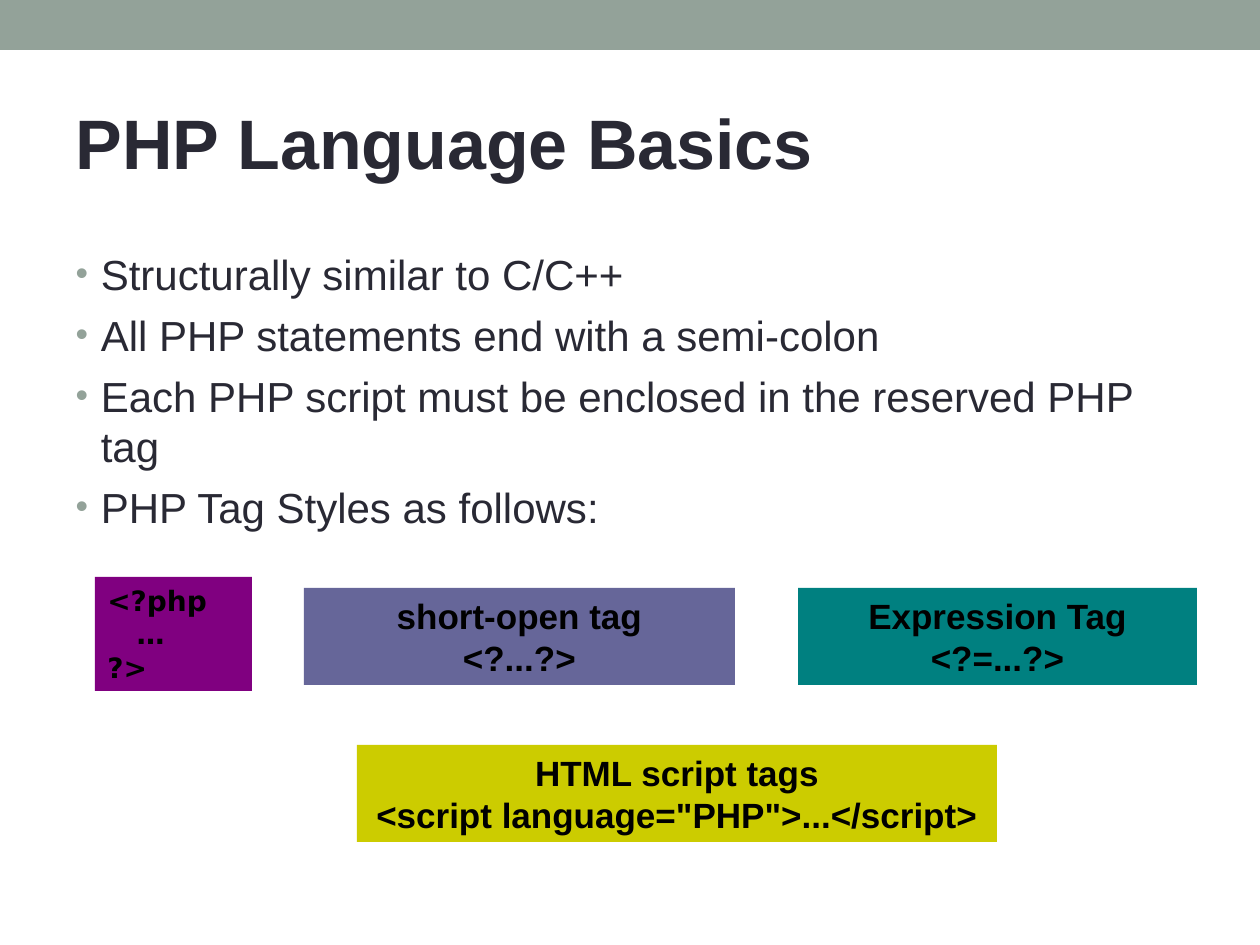
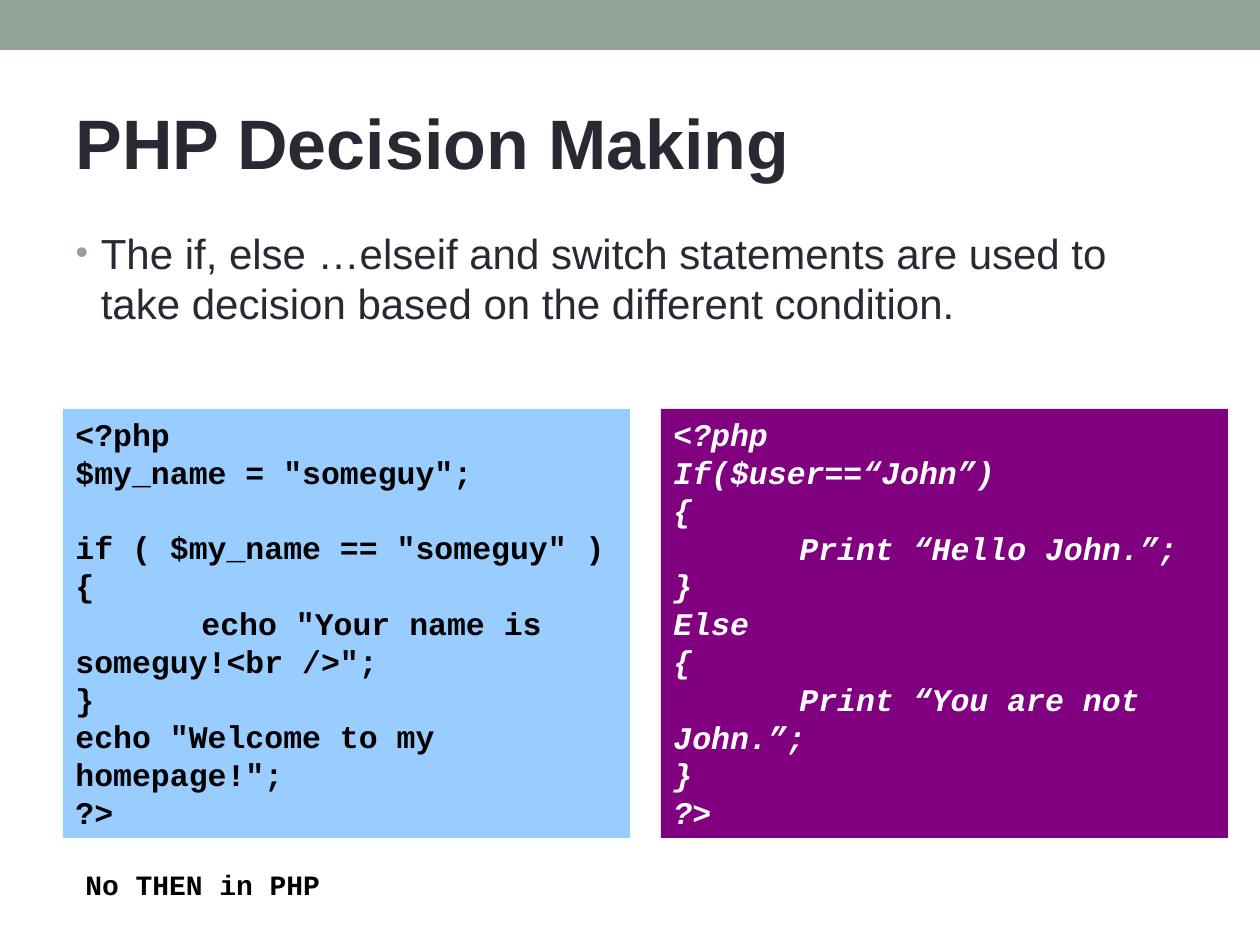
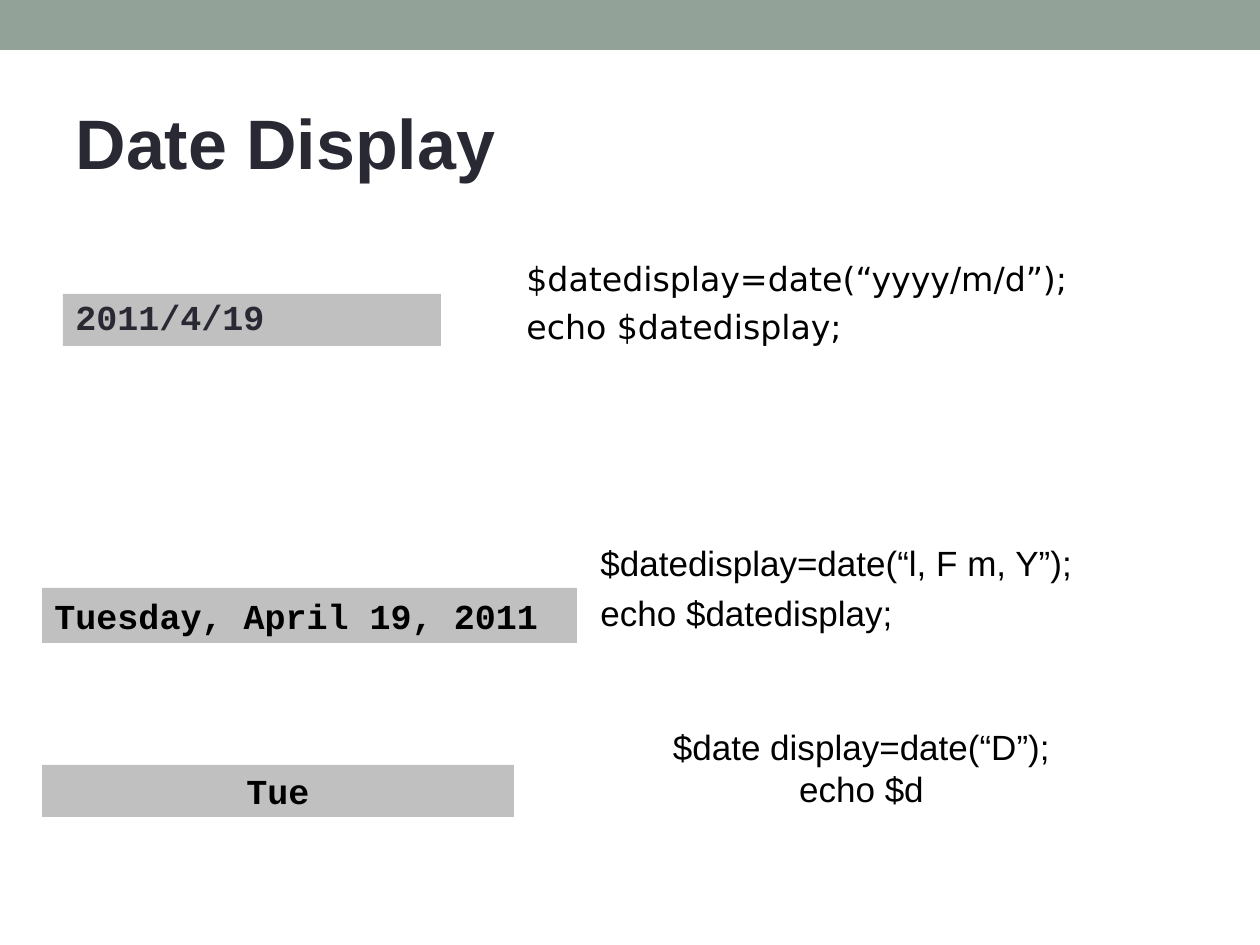
from lxml import etree
from pptx import Presentation
from pptx import util as u
from pptx.dml.color import RGBColor
from pptx.enum import shapes, text
from pptx.oxml.ns import qn

PX = u.Inches(1) / 126
HUE = {
    "band": "93A299", "ink": "292934", "black": "000000", "white": "FFFFFF",
    "plum": "800080", "slate": "666699", "teal": "008080", "lime": "CCCC00",
    "sky": "99CCFF", "grey": "C0C0C0",
}
SANS, MONO, WIDE = "Arial", "Courier New", "DejaVu Sans"
LEFT, MID = text.PP_ALIGN.LEFT, text.PP_ALIGN.CENTER
TOP, CORE = text.MSO_ANCHOR.TOP, text.MSO_ANCHOR.MIDDLE


def px(n):
    return u.Emu(round(n * PX))


def rgb(name):
    return RGBColor.from_string(HUE[name])


def place(shape, at):
    shape.left, shape.top, shape.width, shape.height = map(px, at)


def add_el(par, tag, **attrs):
    return etree.SubElement(par, qn(tag), attrs)


def style(par, face, size, ink, bold=False, slant=False, align=LEFT):
    par.alignment = align
    font = par.font
    font.name, font.size = face, u.Pt(size)
    font.bold, font.italic = bold, slant
    font.color.rgb = rgb(ink)


def bullet(par):
    props = par._p.get_or_add_pPr()
    props.set("marL", str(u.Inches(0.2)))
    props.set("indent", str(-u.Inches(0.2)))
    hue = add_el(props, "a:buClr")
    add_el(hue, "a:srgbClr", val=HUE["band"])
    add_el(props, "a:buSzPct", val="85000")
    add_el(props, "a:buFont", typeface=SANS)
    add_el(props, "a:buChar", char="•")


def tab_stop(par):
    stops = add_el(par._p.get_or_add_pPr(), "a:tabLst")
    add_el(stops, "a:tab", pos=str(u.Inches(1)), algn="l")


def fill_in(frame, lines, anchor=TOP):
    """Put one line in each paragraph and yield the paragraphs."""
    frame.word_wrap = True
    frame.auto_size = text.MSO_AUTO_SIZE.NONE
    frame.vertical_anchor = anchor
    for i, line in enumerate(lines):
        par = frame.add_paragraph() if i else frame.paragraphs[0]
        par.text = line
        yield i, par


def rect(slide, at, fill):
    shape = slide.shapes.add_shape(shapes.MSO_SHAPE.RECTANGLE, *map(px, at))
    shape.shadow.inherit = False
    shape.fill.solid()
    shape.fill.fore_color.rgb = rgb(fill)
    shape.line.fill.background()
    return shape


def box(slide, at, lines, face, size, ink="black", fill=None, anchor=TOP,
        gap=0, gaps=None, lead=None, **look):
    """Text on a filled rectangle, or in a plain text box without a fill."""
    shape = rect(slide, at, fill) if fill else slide.shapes.add_textbox(*map(px, at))
    for i, par in fill_in(shape.text_frame, lines, anchor):
        if "\t" in lines[i]:
            tab_stop(par)
        style(par, face, size, ink, **look)
        par.space_before = u.Pt((gaps or {}).get(i, gap if i else 0))
        if lead:
            par.line_spacing = lead


def new_slide(deck, layout, title):
    slide = deck.slides.add_slide(deck.slide_layouts[layout])
    head = slide.shapes.title
    place(head, (63, 73, 1134, 136))
    for _, par in fill_in(head.text_frame, [title], CORE):
        style(par, SANS, 40, "ink", bold=True)
    return slide


def body(slide, top, height, lines):
    holder = slide.placeholders[1]
    place(holder, (63, top, 1134, height))
    for i, par in fill_in(holder.text_frame, lines):
        bullet(par)
        style(par, SANS, 24, "ink")
        par.space_before = u.Pt(6 if i else 0)


def add_band(deck, slide):
    """Move the top band to the master, so that every slide shows it."""
    band = rect(slide, (0, 0, 1260, 50), "band")
    deck.slide_master.shapes._spTree.insert(2, band._element)


def basics(deck):
    slide = new_slide(deck, 1, "PHP Language Basics")
    add_band(deck, slide)
    body(slide, 242, 625, [
        "Structurally similar to C/C++",
        "All PHP statements end with a semi-colon",
        "Each PHP script must be enclosed in the reserved PHP tag",
        "PHP Tag Styles as follows:",
    ])
    # Tag styles
    box(slide, (95, 577, 157, 114), ["<?php", "   …", "?>"], WIDE, 16,
        fill="plum", bold=True)
    tags = [
        (304, 588, 431, "slate", "short-open tag", "<?...?>"),
        (798, 588, 399, "teal", "Expression Tag", "<?=...?>"),
        (357, 745, 640, "lime", "HTML script tags",
         '<script language="PHP">...</script>'),
    ]
    for left, top, width, fill, *lines in tags:
        box(slide, (left, top, width, 97), lines, SANS, 20, fill=fill,
            bold=True, align=MID)


def choices(deck):
    slide = new_slide(deck, 1, "PHP Decision Making")
    body(slide, 221, 671, [
        "The if, else …elseif and switch statements are used to take "
        "decision based on the different condition.",
    ])
    # Code panels
    named = [
        "<?php", '$my_name = "someguy";', 'if ( $my_name == "someguy" ) {',
        '\techo "Your name is someguy!<br />";', "}",
        'echo "Welcome to my homepage!";', "?>",
    ]
    user = [
        "<?php", "If($user==“John”)", "{", "\tPrint “Hello John.”;", "}",
        "Else", "{", "\tPrint “You are not John.”;", "}", "?>",
    ]
    box(slide, (63, 409, 567, 429), named, MONO, 18, fill="sky", bold=True,
        gaps={2: 21.5})
    box(slide, (661, 409, 567, 429), user, MONO, 18, "white", "plum",
        bold=True, slant=True)
    box(slide, (73, 861, 546, 47), ["No THEN in PHP"], MONO, 16, bold=True)


def dates(deck):
    slide = new_slide(deck, 5, "Date Display")
    # Results
    box(slide, (63, 294, 378, 52), ["2011/4/19"], MONO, 20, "ink", "grey",
        bold=True, lead=0.9)
    box(slide, (42, 588, 535, 55), ["Tuesday, April 19, 2011"], MONO, 20,
        fill="grey", bold=True)
    box(slide, (42, 765, 472, 52), ["Tue"], MONO, 20, fill="grey",
        anchor=CORE, bold=True, align=MID)
    # Code for each result
    show = "echo $datedisplay;"
    box(slide, (514, 252, 588, 147), ["$datedisplay=date(“yyyy/m/d”);", show],
        WIDE, 19, gap=4.8)
    box(slide, (588, 535, 588, 158), ["$datedisplay=date(“l, F m, Y”);", show],
        SANS, 20, gap=5)
    box(slide, (620, 683, 483, 168), ["$date display=date(“D”);", "echo $d"],
        SANS, 20, anchor=CORE, align=MID)


def main():
    deck = Presentation()
    deck.slide_width, deck.slide_height = px(1260), px(945)
    basics(deck)
    choices(deck)
    dates(deck)
    deck.save("out.pptx")


if __name__ == "__main__":
    main()
